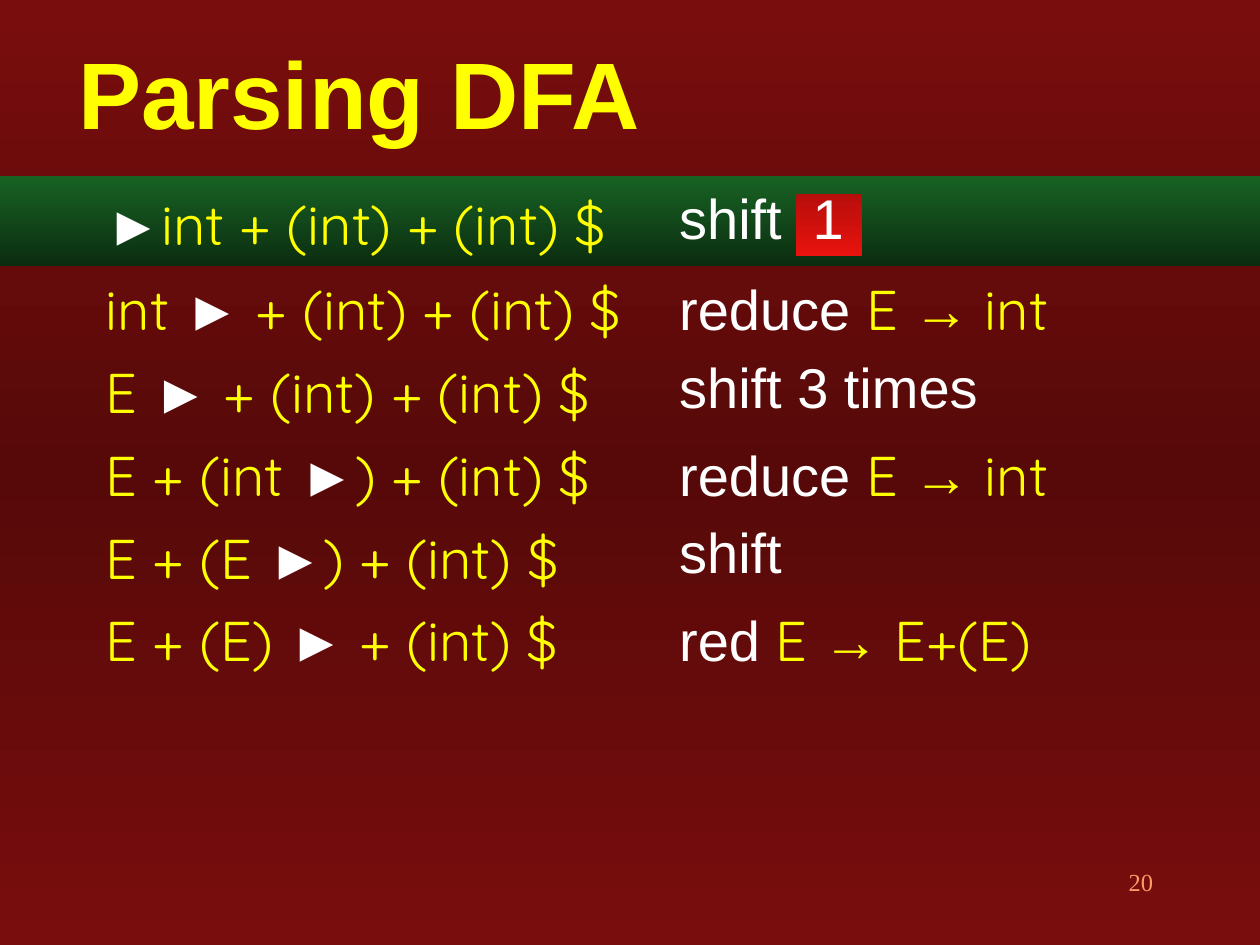
from copy import deepcopy
from dataclasses import dataclass

from lxml.etree import SubElement
from pptx import Presentation
from pptx.dml.color import RGBColor
from pptx.enum.shapes import MSO_SHAPE
from pptx.enum.text import MSO_ANCHOR, MSO_AUTO_SIZE, PP_ALIGN
from pptx.oxml.ns import qn
from pptx.util import Inches


@dataclass(frozen=True)
class Theme:
    symbols: str = "FFFF00"
    words: str = "FFFFFF"
    number: str = "FF9966"
    backdrop: tuple = ("790D0D", "570909", "790D0D")
    band: tuple = ("186224", "0B2D10")
    badge: tuple = ("B70E0B", "E8130E")
    sans: str = "Arial"
    grammar: str = "Quicksand"
    serif: str = "Times New Roman"
    title_size: int = 54
    body_size: int = 32
    number_size: int = 14


THEME = Theme()
CURSOR = "►"
ARROW = "→"
NO_GRID_STYLE = "{2D5ABB26-0587-4C30-8999-92F81FD0307C}"

# Parser state, action, production used by the action
STEPS = [
    ("►int + (int) + (int) $", "shift\t1", ""),
    ("int ► + (int) + (int) $", "reduce ", "E → int"),
    ("E ► + (int) + (int) $", "shift 3 times", ""),
    ("E + (int ►) + (int) $", "reduce ", "E → int"),
    ("E + (E ►) + (int) $", "shift", ""),
    ("E + (E) ► + (int) $", "red ", "E → E+(E)"),
]


def add_text(paragraph, text, font=THEME.sans, size=THEME.body_size,
             color=THEME.words, bold=False):
    run = paragraph.add_run()
    run.text = text
    run.font.name = font
    run.font.size = Inches(size / 72)
    run.font.bold = bold
    run.font.color.rgb = RGBColor.from_string(color)
    return run


def add_grammar(paragraph, text):
    return add_text(paragraph, text, font=THEME.grammar, color=THEME.symbols)


def paint_gradient(fill, owner, colors):
    """Fill from top to bottom with evenly spaced colours."""
    fill.gradient()
    fill.gradient_angle = 270
    stop_list = owner.find(".//" + qn("a:gsLst"))
    while len(stop_list) < len(colors):
        stop_list.append(deepcopy(stop_list[0]))
    for i, (stop, color) in enumerate(zip(fill.gradient_stops, colors)):
        stop.position = i / (len(colors) - 1)
        stop.color.rgb = RGBColor.from_string(color)


def add_panel(slide, left, top, width, height, colors):
    panel = slide.shapes.add_shape(MSO_SHAPE.RECTANGLE, Inches(left), Inches(top),
                                   Inches(width), Inches(height))
    panel.shadow.inherit = False
    panel.line.fill.background()
    paint_gradient(panel.fill, panel._element, colors)


def add_title(slide, text):
    title = slide.shapes.title
    title.left, title.top = Inches(0.52), Inches(0.31)
    title.width, title.height = Inches(10), Inches(0.83)
    frame = title.text_frame
    frame.auto_size = MSO_AUTO_SIZE.NONE
    frame.vertical_anchor = MSO_ANCHOR.MIDDLE
    heading = frame.paragraphs[0]
    heading.alignment = PP_ALIGN.LEFT
    run = add_text(heading, text, size=THEME.title_size, color=THEME.symbols, bold=True)
    # Text shadow, placed right after the text colour
    properties = run.font._element
    effects = SubElement(properties, qn("a:effectLst"))
    shadow = SubElement(effects, qn("a:outerShdw"), dist="35921", dir="2700000")
    SubElement(shadow, qn("a:srgbClr"), val="C0C0C0")
    properties.find(qn("a:solidFill")).addnext(effects)


def write_state(paragraph, state):
    before, after = state.split(CURSOR)
    if before:
        add_grammar(paragraph, before)
    add_text(paragraph, CURSOR)
    add_grammar(paragraph, after)


def write_action(paragraph, action, production):
    if "\t" in action:
        tabs = SubElement(paragraph._p.get_or_add_pPr(), qn("a:tabLst"))
        SubElement(tabs, qn("a:tab"), pos=str(Inches(1.06)), algn="l")
    add_text(paragraph, action)
    if production:
        left_side, right_side = production.split(ARROW + " ")
        add_grammar(paragraph, left_side)
        add_text(paragraph, ARROW + " ", color=THEME.symbols)
        add_grammar(paragraph, right_side)


def add_trace(slide, steps):
    frame = slide.shapes.add_table(len(steps), 2, Inches(0.74), Inches(1.45),
                                   Inches(8.36), Inches(3.86))
    trace = frame.table
    trace.first_row = trace.horz_banding = False
    trace._tbl.tblPr.find(qn("a:tableStyleId")).text = NO_GRID_STYLE
    for column, width in zip(trace.columns, (4.55, 3.81)):
        column.width = Inches(width)
    for i, (row, (state, action, production)) in enumerate(zip(trace.rows, steps)):
        row.height = Inches(0.64 if i else 0.68)
        state_cell, action_cell = row.cells
        for cell in (state_cell, action_cell):
            cell.fill.background()
        write_state(state_cell.text_frame.paragraphs[0], state)
        write_action(action_cell.text_frame.paragraphs[0], action, production)


def add_page_number(slide, number):
    box = slide.shapes.add_textbox(Inches(7.17), Inches(6.83), Inches(2.08), Inches(0.5))
    box.text_frame.word_wrap = True
    paragraph = box.text_frame.paragraphs[0]
    paragraph.alignment = PP_ALIGN.RIGHT
    add_text(paragraph, number, font=THEME.serif, size=THEME.number_size,
             color=THEME.number)


def main():
    deck = Presentation()
    deck.slide_width, deck.slide_height = Inches(10), Inches(7.5)
    slide = deck.slides.add_slide(deck.slide_layouts[5])
    paint_gradient(slide.background.fill, slide._element, THEME.backdrop)

    # Highlight of the current step and its target state
    add_panel(slide, 0, 1.4, 10, 0.71, THEME.band)
    add_title(slide, "Parsing DFA")
    add_panel(slide, 6.32, 1.54, 0.52, 0.49, THEME.badge)

    # Parse trace
    add_trace(slide, STEPS)
    add_page_number(slide, "20")
    deck.save("out.pptx")


if __name__ == "__main__":
    main()
